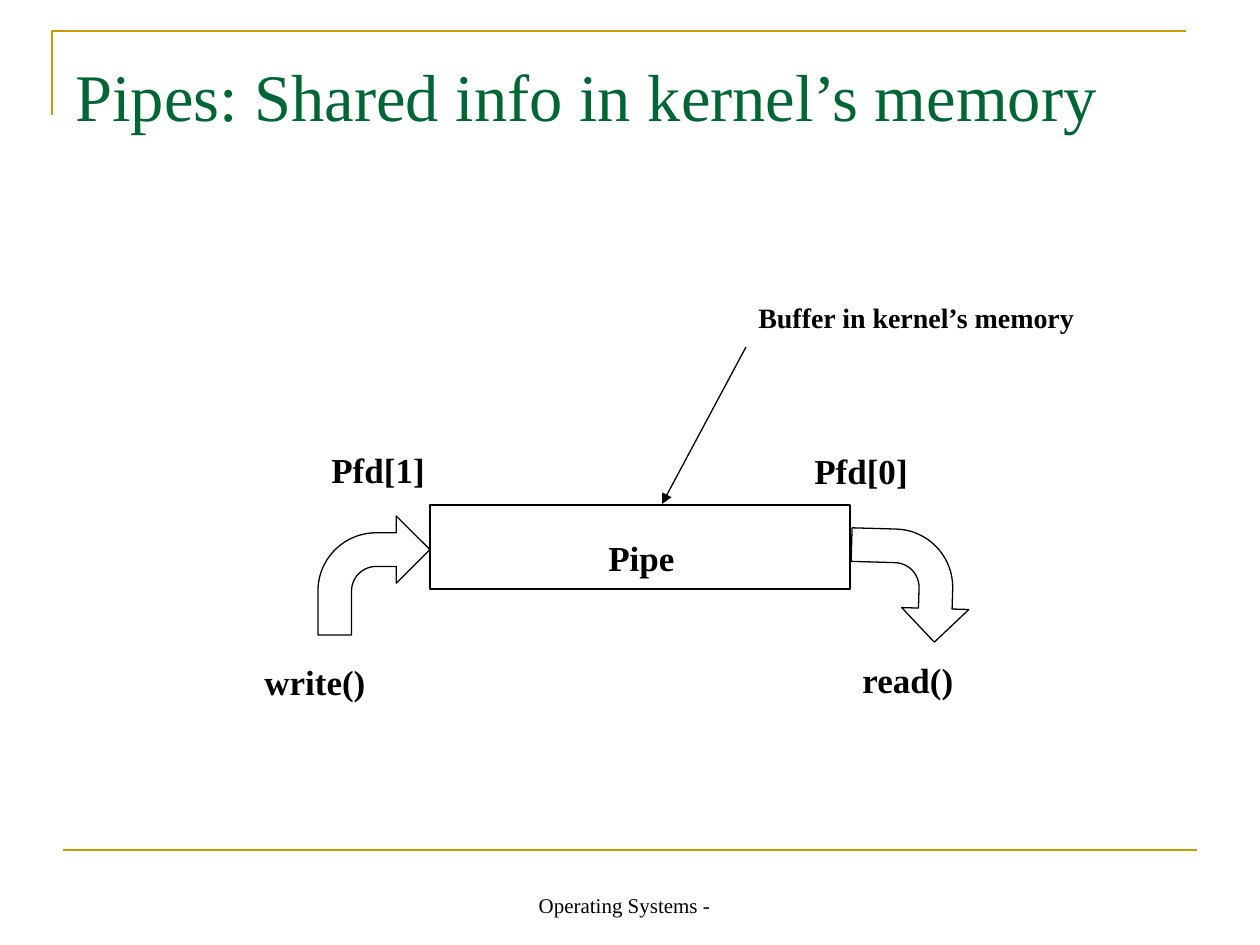
from lxml import etree
from pptx import Presentation
from pptx.dml.color import RGBColor
from pptx.enum.shapes import MSO_CONNECTOR, MSO_SHAPE
from pptx.enum.text import MSO_ANCHOR, PP_ALIGN
from pptx.oxml.ns import qn
from pptx.util import Pt

PX = 914400 / 126
RECT, BENT = MSO_SHAPE.RECTANGLE, MSO_SHAPE.BENT_ARROW
LINE = MSO_CONNECTOR.STRAIGHT
TOP, MID, LOW = MSO_ANCHOR.TOP, MSO_ANCHOR.MIDDLE, MSO_ANCHOR.BOTTOM
LEFT, CENTER = PP_ALIGN.LEFT, PP_ALIGN.CENTER
HEX = {"gold": "CC9900", "green": "006633", "ink": "000000", "paper": "FFFFFF"}
FONT = "Times New Roman"


def emu(*nums):
    """Turn px lengths into EMU."""
    return [round(n * PX) for n in nums]


def tint(name):
    """Look up a colour by name."""
    return RGBColor.from_string(HEX[name])


def stroke(item, name="ink", width=0.75):
    """Set the colour and width of an outline."""
    item.line.color.rgb = tint(name)
    item.line.width = Pt(width)


def write(shape, words, size=20, color="ink", bold=True, anchor=TOP, align=LEFT):
    """Put one styled paragraph into a shape."""
    frame = shape.text_frame
    frame.word_wrap, frame.vertical_anchor = True, anchor
    para = frame.paragraphs[0]
    para.alignment = align
    run = para.add_run()
    run.text = words
    form = {"name": FONT, "size": Pt(size), "bold": bold}
    for key, value in form.items():
        setattr(run.font, key, value)
    run.font.color.rgb = tint(color)


def label(slide, box, words, **form):
    """Add a text box."""
    write(slide.shapes.add_textbox(*emu(*box)), words, **form)


def block(slide, kind, box, fill=None, edge="ink"):
    """Add a preset shape without a shadow."""
    shape = slide.shapes.add_shape(kind, *emu(*box))
    shape.shadow.inherit = False
    if fill:
        shape.fill.solid()
        shape.fill.fore_color.rgb = tint(fill)
    else:
        shape.fill.background()
    stroke(shape, edge)
    return shape


def rule(slide, ends, color="ink", width=0.75, arrow=False):
    """Add a straight line, with an arrowhead if asked."""
    line = slide.shapes.add_connector(LINE, *emu(*ends))
    stroke(line, color, width)
    if arrow:
        etree.SubElement(line.line._get_or_add_ln(), qn("a:tailEnd"), type="triangle")
    etree.SubElement(line._element.spPr, qn("a:effectLst"))


def border(slide, x, y, w, h):
    """Draw the gold corner and the rule above the footer."""
    pen = slide.shapes.build_freeform(x, y + 84, scale=PX)
    pen.add_line_segments([(x, y), (x + w, y)], close=False)
    corner = pen.convert_to_shape()
    corner.shadow.inherit = False
    corner.fill.background()
    stroke(corner, "gold", 1.5)
    rule(slide, (x + 11, y + h, x + w + 11, y + h), "gold", 1.5)


def heads(slide, x, y, w):
    """Place the title and the footer."""
    label(slide, (x, y, w, 158), "Pipes: Shared info in kernel’s memory",
          size=38, color="green", bold=False, anchor=MID)
    label(slide, (x + 362, y + 845, 399, 63), "Operating Systems -",
          size=12, bold=False, anchor=LOW, align=CENTER)


def pipe(slide, x, y, w, h):
    """Draw the pipe with its two ends."""
    block(slide, RECT, (x, y, w, h))
    for left, top, turn in ((x - 112, y + 11, 0), (x + w + 4, y + 21, 91.6)):
        bend = block(slide, BENT, (left, top, 112, 119))
        bend.rotation = turn
        for i, part in enumerate((0.3, 0.3, 0.3, 0.52)):
            bend.adjustments[i] = part
    for words, left, top, wide in (
        ("Pipe", 166, 25, 101),
        ("write()", -178, 149, 136),
        ("read()", 420, 147, 126),
        ("Pfd[1]", -111, -63, 128),
        ("Pfd[0]", 372, -62, 128),
    ):
        label(slide, (x + left, y + top, wide, 55), words)


def buffer(slide, x, y, w, h):
    """Place the buffer note and its arrow to the pipe."""
    note = block(slide, RECT, (x, y, w, h), "paper", "paper")
    write(note, "Buffer in kernel’s memory", size=16)
    rule(slide, (x, y + 53, x - 84, y + 210), arrow=True)


def main():
    """Build and save the slide."""
    deck = Presentation()
    deck.slide_width, deck.slide_height = emu(1260, 945)
    slide = deck.slides.add_slide(deck.slide_layouts[6])
    border(slide, 52, 31, 1134, 819)
    heads(slide, 63, 16, 1134)
    pipe(slide, 430, 505, 420, 84)
    buffer(slide, 746, 294, 368, 47)
    deck.save("out.pptx")


if __name__ == "__main__":
    main()
